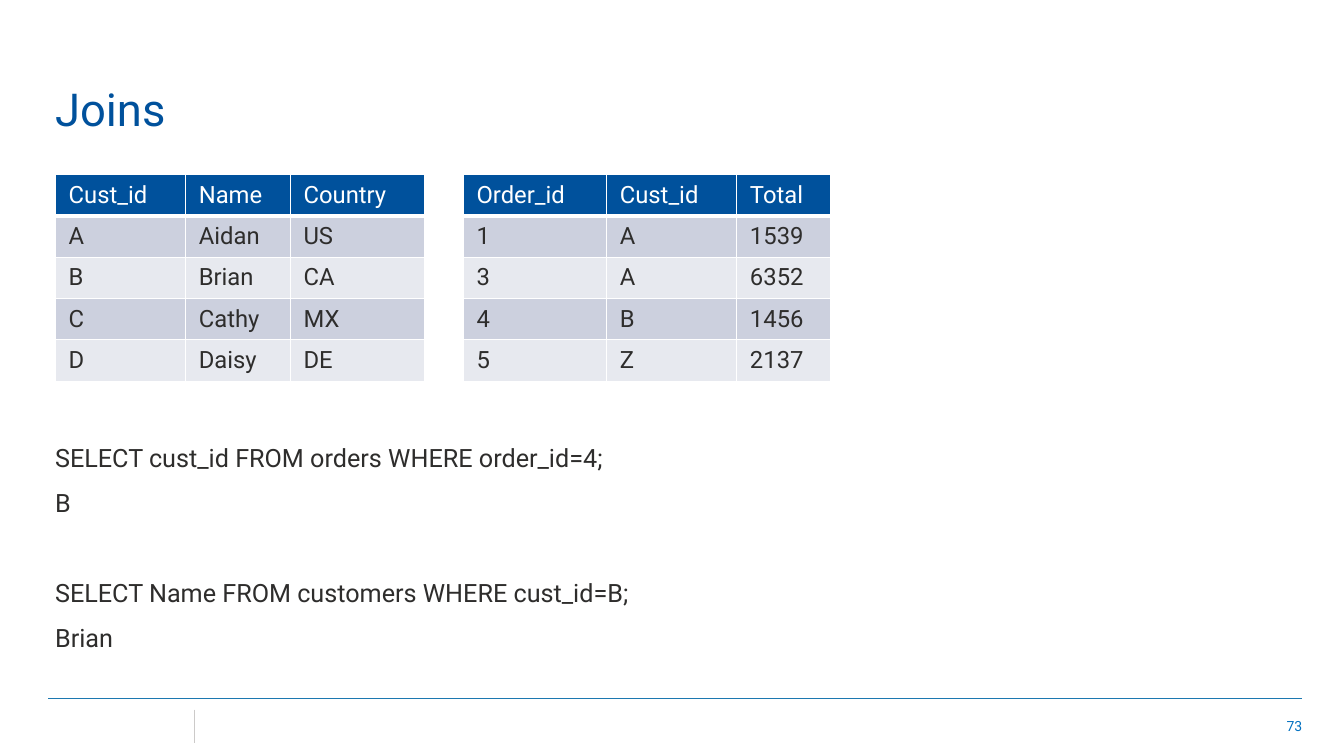
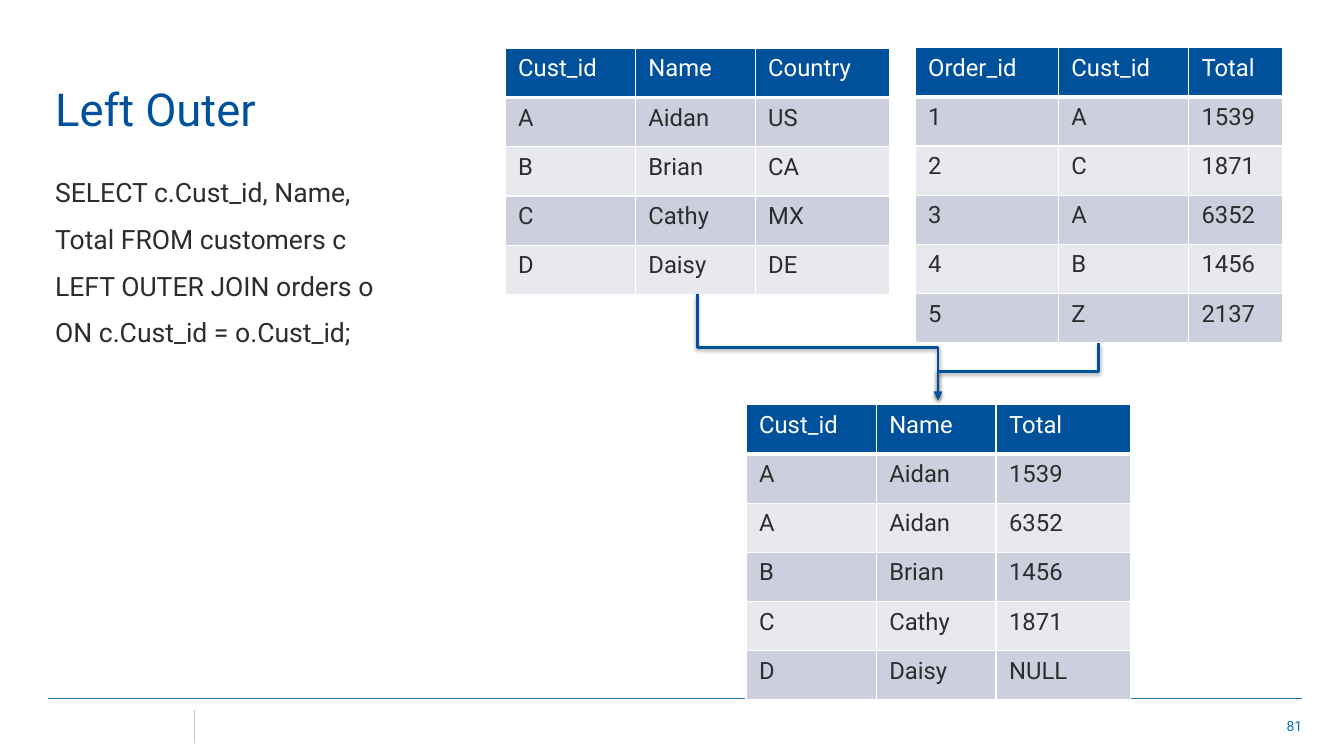
from lxml.etree import SubElement
from pptx import Presentation
from pptx.dml.color import RGBColor
from pptx.enum.shapes import MSO_CONNECTOR
from pptx.enum.text import MSO_ANCHOR, PP_ALIGN
from pptx.oxml.ns import qn
from pptx.util import Cm, Pt

FONT = "Roboto"
BLUE, INK, WHITE = "00519C", "2E2D2C", "FFFFFF"
BAND_DARK, BAND_LIGHT = "CCD0DE", "E7E9EF"
PAGE_BLUE, RULE_BLUE, RULE_GREY = "0070C0", "1C78B0", "CCCAC9"

# Column widths in cm
ID_W, NAME_W, COUNTRY_W, ORDER_W, TOTAL_W = 3.28, 3.02, 3.38, 3.61, 2.36

CUSTOMERS = [
    ("Cust_id", "Name", "Country"),
    ("A", "Aidan", "US"),
    ("B", "Brian", "CA"),
    ("C", "Cathy", "MX"),
    ("D", "Daisy", "DE"),
]
ORDERS = [
    ("Order_id", "Cust_id", "Total"),
    ("1", "A", "1539"),
    ("2", "C", "1871"),
    ("3", "A", "6352"),
    ("4", "B", "1456"),
    ("5", "Z", "2137"),
]
ORDERS_SHORT = [row for row in ORDERS if row[0] != "2"]
LEFT_OUTER = [
    ("Cust_id", "Name", "Total"),
    ("A", "Aidan", "1539"),
    ("A", "Aidan", "6352"),
    ("B", "Brian", "1456"),
    ("C", "Cathy", "1871"),
    ("D", "Daisy", "NULL"),
]

# Each query is a list of lines; a wide gap separates the queries.
# Tables: rows, left, top, column widths. Arrows: from table, to table.
SLIDES = [
    {
        "title": "Joins",
        "page": "73",
        "body": (11.02, 31.67, 18),
        "queries": [
            ["SELECT cust_id FROM orders WHERE order_id=4;", "B"],
            ["SELECT Name FROM customers WHERE cust_id=B;", "Brian"],
        ],
        "row_height": 1.02,
        "tables": [
            (CUSTOMERS, 1.4, 4.4, (ID_W, 2.64, COUNTRY_W)),
            (ORDERS_SHORT, 11.68, 4.4, (ORDER_W, ID_W, TOTAL_W)),
        ],
        "arrows": [],
    },
    {
        "title": "Left Outer",
        "page": "81",
        "body": (4.32, 10.95, 19),
        "queries": [[
            "SELECT c.Cust_id, Name,",
            "Total FROM customers c",
            "LEFT OUTER JOIN orders o",
            "ON c.Cust_id = o.Cust_id;",
        ]],
        "row_height": 1.24,
        "tables": [
            (CUSTOMERS, 12.73, 1.22, (ID_W, NAME_W, COUNTRY_W)),
            (ORDERS, 23.06, 1.2, (ORDER_W, ID_W, TOTAL_W)),
            (LEFT_OUTER, 18.8, 10.2, (ID_W, NAME_W, COUNTRY_W)),
        ],
        "arrows": [(0, 2), (1, 2)],
    },
]


def rgb(color):
    return RGBColor.from_string(color)


def add_run(p, text, size, color):
    r = p.add_run()
    r.text = text
    r.font.name = FONT
    r.font.size = Pt(size)
    r.font.color.rgb = rgb(color)


def add_box(s, left, top, width, height, anchor=MSO_ANCHOR.TOP):
    tf = s.shapes.add_textbox(Cm(left), Cm(top), Cm(width), Cm(height)).text_frame
    tf.word_wrap = True
    tf.vertical_anchor = anchor
    return tf


def add_line(s, kind, x1, y1, x2, y2, color, width):
    line = s.shapes.add_connector(kind, Cm(x1), Cm(y1), Cm(x2), Cm(y2))
    line.line.color.rgb = rgb(color)
    line.line.width = Pt(width)
    effects = SubElement(line._element.spPr, qn("a:effectLst"))
    return line, effects


def add_frame(s, title, page):
    """Add what every slide shares: title, footer rules and page number."""
    add_line(s, MSO_CONNECTOR.STRAIGHT, 1.22, 17.6, 32.82, 17.6, RULE_BLUE, 0.25)
    add_line(s, MSO_CONNECTOR.STRAIGHT, 4.9, 17.88, 4.9, 18.72, RULE_GREY, 0.25)
    p = add_box(s, 25.17, 17.78, 7.9, 1.02, MSO_ANCHOR.MIDDLE).paragraphs[0]
    p.alignment = PP_ALIGN.RIGHT
    add_run(p, page, 10, PAGE_BLUE)
    p = add_box(s, 1.14, 1.8, 25.35, 1.75, MSO_ANCHOR.BOTTOM).paragraphs[0]
    add_run(p, title, 32.4, BLUE)


def add_queries(s, queries, top, width, size):
    tf = add_box(s, 1.14, top, width, 17 - top)
    for q, lines in enumerate(queries):
        for n, text in enumerate(lines):
            first = q == n == 0
            p = tf.paragraphs[0] if first else tf.add_paragraph()
            if not first:
                p.space_before = Pt(2 if n else 34)
            p.space_after = Pt(8.5)
            add_run(p, text, size, INK)


def style_cell(cell, text, row):
    header = row == 0
    cell.margin_left = cell.margin_right = Cm(0.33)
    cell.margin_top = cell.margin_bottom = Cm(0.16)
    tc_pr = cell._tc.get_or_add_tcPr()
    for side in ("lnL", "lnR", "lnT", "lnB"):
        width = Pt(3 if header and side == "lnB" else 1)
        ln = SubElement(tc_pr, qn(f"a:{side}"), w=str(width))
        fill = SubElement(ln, qn("a:solidFill"))
        SubElement(fill, qn("a:srgbClr"), val=WHITE)
    band = BAND_DARK if row % 2 else BAND_LIGHT
    cell.fill.solid()
    cell.fill.fore_color.rgb = rgb(BLUE if header else band)
    add_run(cell.text_frame.paragraphs[0], text, 17, WHITE if header else INK)


def add_data_table(s, rows, left, top, widths, row_height):
    table = s.shapes.add_table(
        len(rows), len(widths), Cm(left), Cm(top),
        Cm(sum(widths)), Cm(row_height * len(rows))).table
    table.first_row = table.horz_banding = False
    for column, width in zip(table.columns, widths):
        column.width = Cm(width)
    for i, row in enumerate(rows):
        table.rows[i].height = Cm(row_height)
        for j, text in enumerate(row):
            style_cell(table.cell(i, j), text, i)


def add_elbow_arrow(s, x1, y1, x2, y2):
    """Go down, across and down; the preset runs sideways, so it is turned."""
    w, h = y2 - y1, abs(x2 - x1)
    left, top = (x1 + x2 - w) / 2, (y1 + y2 - h) / 2
    arrow, effects = add_line(
        s, MSO_CONNECTOR.ELBOW, left, top, left + w, top + h, BLUE, 2)
    xfrm = arrow._element.spPr.find(qn("a:xfrm"))
    xfrm.set("rot", str((270 if x2 > x1 else 90) * 60000))
    if x2 > x1:
        xfrm.set("flipH", "1")
    SubElement(arrow.line._get_or_add_ln(), qn("a:tailEnd"), type="triangle")
    shadow = SubElement(effects, qn("a:outerShdw"), blurRad=str(Pt(3.1)),
                        dist=str(Pt(1.6)), dir=str(90 * 60000), rotWithShape="0")
    color = SubElement(shadow, qn("a:srgbClr"), val="000000")
    SubElement(color, qn("a:alpha"), val="38000")


def add_table_arrow(s, source, target, row_height):
    """Join the bottom middle of one table to just above the top of another."""
    rows, left, top, widths = source
    _, end_left, end_top, end_widths = target
    add_elbow_arrow(s, left + sum(widths) / 2, top + row_height * len(rows),
                    end_left + sum(end_widths) / 2, end_top - 0.12)


def main():
    prs = Presentation()
    prs.slide_width, prs.slide_height = Cm(33.87), Cm(19.05)
    for content in SLIDES:
        s = prs.slides.add_slide(prs.slide_layouts[6])
        add_frame(s, content["title"], content["page"])
        add_queries(s, content["queries"], *content["body"])
        tables, row_height = content["tables"], content["row_height"]
        for table in tables:
            add_data_table(s, *table, row_height)
        for source, target in content["arrows"]:
            add_table_arrow(s, tables[source], tables[target], row_height)
    prs.save("out.pptx")


if __name__ == "__main__":
    main()
